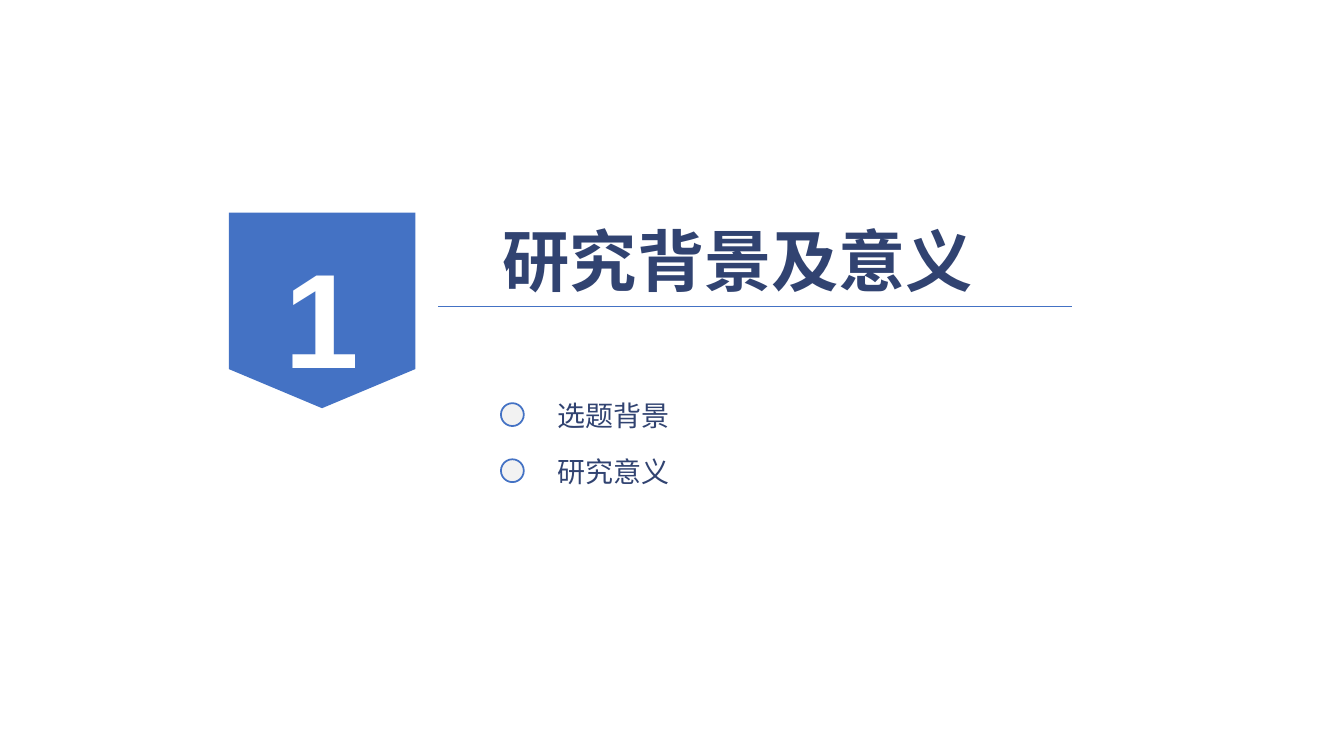
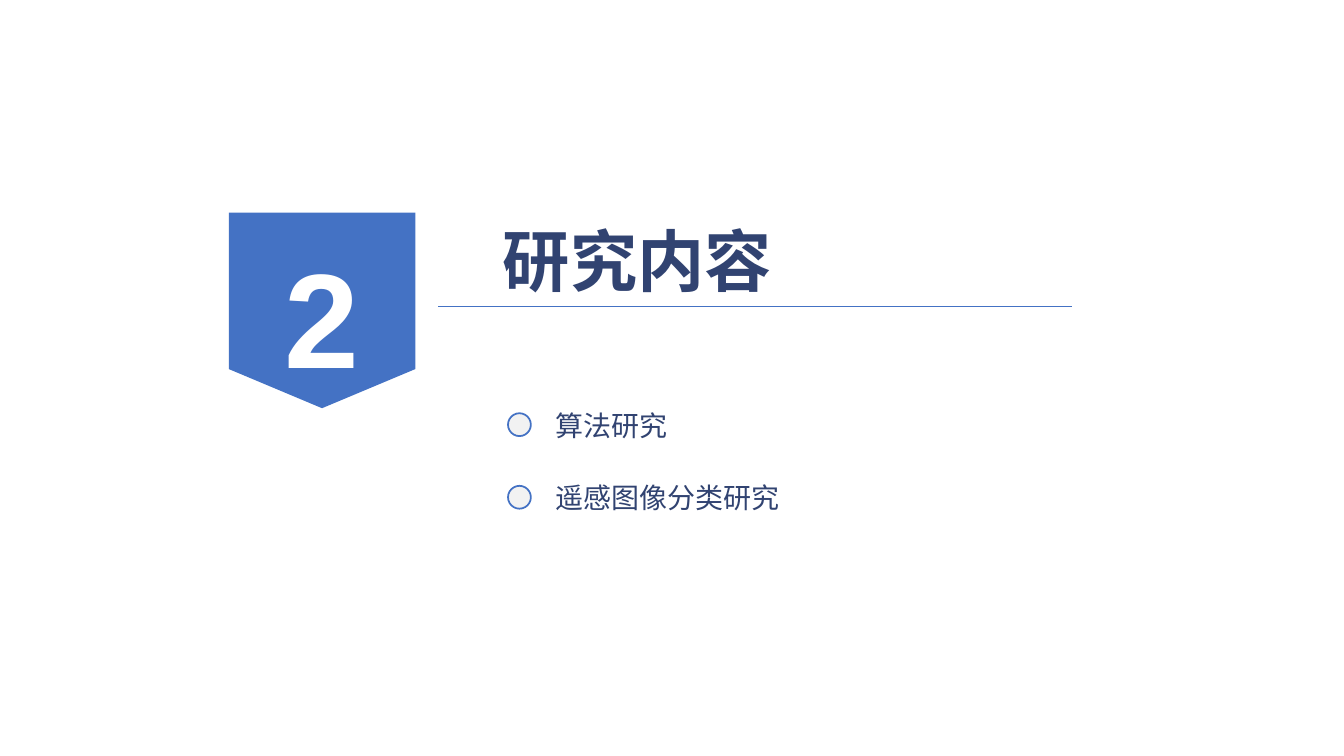
from pptx import Presentation
from pptx.dml.color import RGBColor
from pptx.enum.shapes import MSO_CONNECTOR, MSO_SHAPE
from pptx.enum.text import MSO_ANCHOR, PP_ALIGN
from pptx.oxml.ns import qn
from pptx.util import Inches, Pt
from lxml.etree import SubElement

COLS = 40
INK = {"blue": "4472C4", "navy": "314371", "pale": "F2F2F2", "white": "FFFFFF"}
HAN, LATIN = "Noto Sans CJK SC", "Arial"

# number, title, dot column, text column, first row, row step, topics
PARTS = [
    ("1", "研究背景及意义", 14.91, 16.2, 11.64, 1.67, ["选题背景", "研究意义"]),
    ("2", "研究内容", 15.12, 16.14, 11.94, 2.16, ["算法研究", "遥感图像分类研究"]),
]


class Deck:
    """Holds the style and the current slide; lengths are square grid cells."""

    def __init__(self):
        self.prs = Presentation()
        self.prs.slide_width, self.prs.slide_height = Inches(40 / 3), Inches(7.5)
        self.cell = self.prs.slide_width / COLS
        self.slide = None

    def grid(self, *cells):
        return [round(c * self.cell) for c in cells]

    def hue(self, name):
        return RGBColor.from_string(INK[name])

    def page(self):
        self.slide = self.prs.slides.add_slide(self.prs.slide_layouts[6])

    def label(self, frame, text, size, color, font=HAN, bold=False):
        frame.text = text
        run = frame.paragraphs[0].runs[0]
        face = run.font
        face.size, face.bold, face.name = Pt(size), bold, font
        face.color.rgb = self.hue(color)
        # Chinese glyphs take their typeface from a:ea
        SubElement(run._r.get_or_add_rPr(), qn("a:ea")).set("typeface", font)

    def shape(self, kind, box, fill, line=None):
        item = self.slide.shapes.add_shape(kind, *self.grid(*box))
        item.shadow.inherit = False
        item.fill.solid()
        item.fill.fore_color.rgb = self.hue(fill)
        if line:
            item.line.color.rgb = self.hue(line)
            item.line.width = Pt(1.25)
        else:
            item.line.fill.background()
        return item

    def badge(self, num):
        box = (6.81, 6.33, 5.55, 5.82)
        frame = self.shape(MSO_SHAPE.FLOWCHART_OFFPAGE_CONNECTOR, box, "blue").text_frame
        self.label(frame, num, 96, "white", LATIN, True)
        frame.vertical_anchor = MSO_ANCHOR.MIDDLE
        frame.paragraphs[0].alignment = PP_ALIGN.CENTER
        frame.paragraphs[0].line_spacing = 1.3

    def rule(self):
        ends = self.grid(13.05, 9.12, 31.92, 9.12)
        line = self.slide.shapes.add_connector(MSO_CONNECTOR.STRAIGHT, *ends)
        line.line.color.rgb = self.hue("blue")
        line.line.width = Pt(1)
        SubElement(line._element.spPr, qn("a:effectLst"))

    def title(self, text):
        box = self.grid(14.67, 6.39, 0.6 + 2.02 * len(text), 2.73)
        frame = self.slide.shapes.add_textbox(*box).text_frame
        frame.word_wrap = False
        self.label(frame, text, 48, "navy", bold=True)

    def topic(self, text, dot, left, top):
        self.shape(MSO_SHAPE.OVAL, (dot, top + 0.36, 0.68, 0.68), "pale", "blue")
        box = self.grid(left, top, 10.5, 1.41)
        frame = self.slide.shapes.add_textbox(*box).text_frame
        frame.word_wrap = True
        frame.margin_left = frame.margin_right = Inches(0.13)
        frame.margin_top = frame.margin_bottom = Inches(0.07)
        self.label(frame, text, 20, "navy")


def main():
    deck = Deck()
    for num, title, dot, left, top, step, topics in PARTS:
        deck.page()
        deck.badge(num)
        deck.rule()
        deck.title(title)
        for i, text in enumerate(topics):
            deck.topic(text, dot, left, top + i * step)
    deck.prs.save("out.pptx")


if __name__ == "__main__":
    main()
